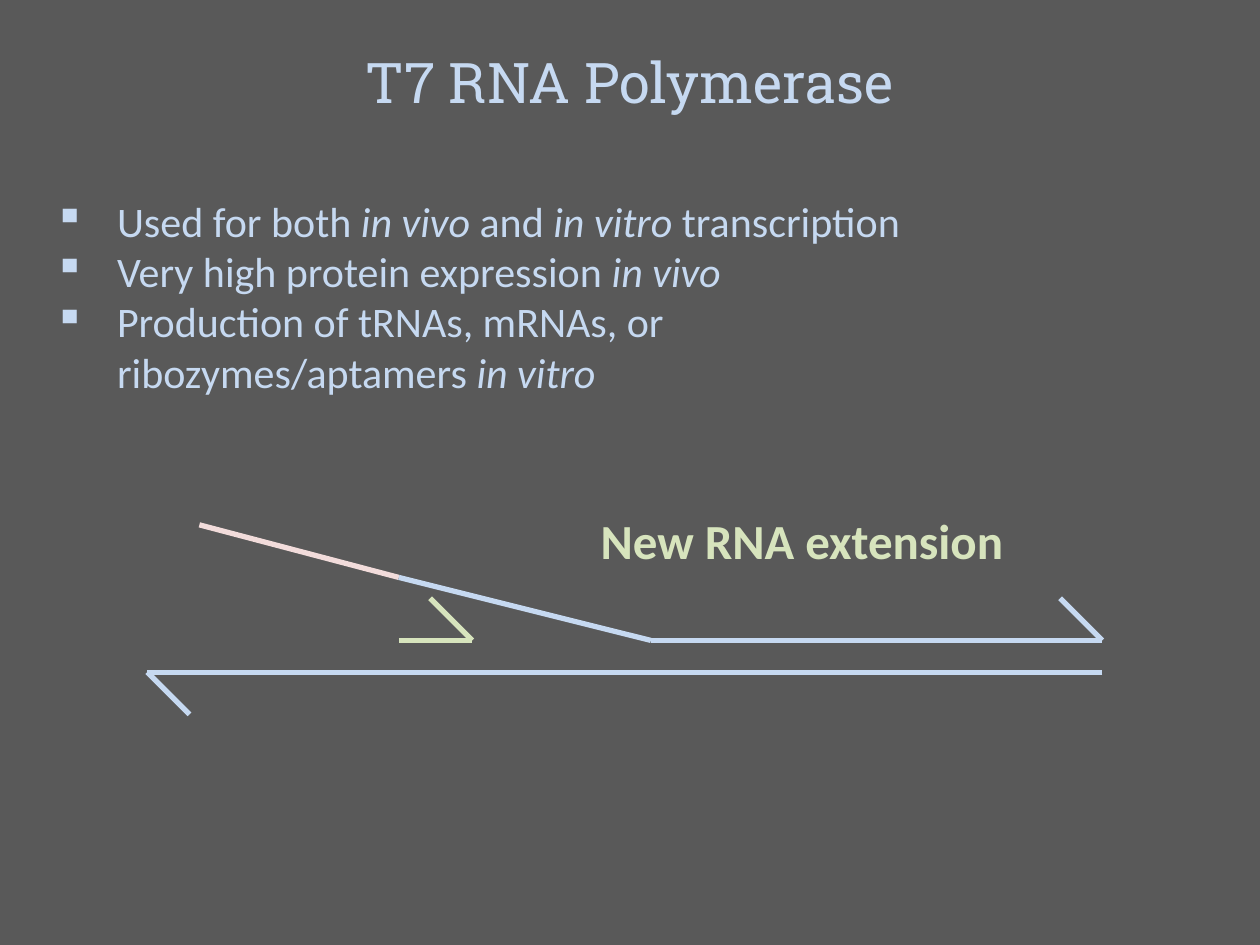
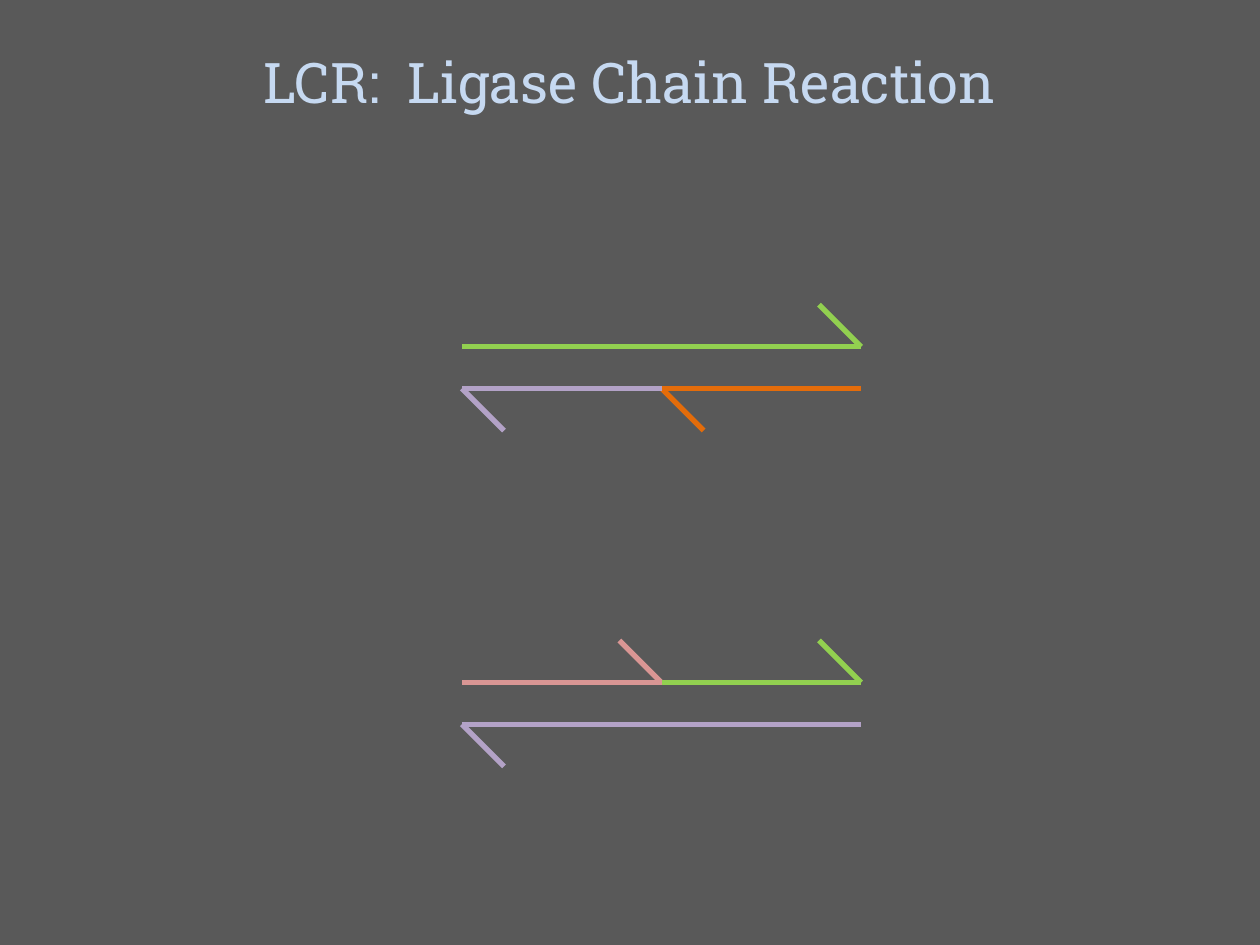
from dataclasses import dataclass

from lxml import etree
from pptx import Presentation
from pptx.dml.color import RGBColor
from pptx.enum.shapes import MSO_CONNECTOR
from pptx.enum.text import MSO_AUTO_SIZE, PP_ALIGN
from pptx.oxml.ns import qn
from pptx.util import Cm, Pt

STRAIGHT = MSO_CONNECTOR.STRAIGHT
FIT_SHAPE = MSO_AUTO_SIZE.SHAPE_TO_FIT_TEXT
LEFT = PP_ALIGN.LEFT
CENTER = PP_ALIGN.CENTER

SLIDE_WIDTH = 25.4
SLIDE_HEIGHT = 19.05


@dataclass(frozen=True)
class Theme:
    background: str = "595959"
    blue: str = "C6D9F1"
    pale_pink: str = "F2DCDB"
    pale_green: str = "D7E4BD"
    green: str = "92D050"
    purple: str = "B3A2C7"
    pink: str = "D99694"
    orange: str = "E46C0A"
    title_font: str = "Roboto Slab"
    body_font: str = "Calibri"
    title_size: int = 32
    body_size: int = 24
    label_size: int = 28
    line_width: int = 3
    barb: float = 0.85
    indent: float = 1.27


class Deck:
    def __init__(self, theme):
        self.theme = theme
        self.presentation = Presentation()
        self.presentation.slide_width = Cm(SLIDE_WIDTH)
        self.presentation.slide_height = Cm(SLIDE_HEIGHT)
        self.slide = None

    def add_slide(self, title):
        self.slide = self.presentation.slides.add_slide(self.presentation.slide_layouts[6])
        fill = self.slide.background.fill
        fill.solid()
        fill.fore_color.rgb = RGBColor.from_string(self.theme.background)
        frame = self.text_frame(0, 0.84, SLIDE_WIDTH, 1.62)
        paragraph = frame.paragraphs[0]
        paragraph.alignment = CENTER
        self.run(paragraph, title, self.theme.title_size, self.theme.blue, self.theme.title_font)

    def text_frame(self, left, top, width, height, wrap=True):
        shape = self.slide.shapes.add_textbox(Cm(left), Cm(top), Cm(width), Cm(height))
        frame = shape.text_frame
        frame.word_wrap = wrap
        frame.auto_size = FIT_SHAPE
        return frame

    def run(self, paragraph, text, size, color, font_name, bold=False, italic=False):
        run = paragraph.add_run()
        run.text = text
        font = run.font
        font.name = font_name
        font.size = Pt(size)
        font.bold = bold
        font.italic = italic
        font.color.rgb = RGBColor.from_string(color)

    def bullets(self, left, top, width, height, items):
        frame = self.text_frame(left, top, width, height)
        for index, item in enumerate(items):
            paragraph = frame.add_paragraph() if index else frame.paragraphs[0]
            paragraph.alignment = LEFT
            properties = paragraph._p.get_or_add_pPr()
            properties.set("marL", str(Cm(self.theme.indent)))
            properties.set("indent", str(-Cm(self.theme.indent)))
            etree.SubElement(properties, qn("a:buChar"), char="▪")
            for text, italic in item:
                self.run(paragraph, text, self.theme.body_size, self.theme.blue,
                         self.theme.body_font, italic=italic)

    def label(self, left, top, width, height, text, color):
        frame = self.text_frame(left, top, width, height, wrap=False)
        self.run(frame.paragraphs[0], text, self.theme.label_size, color,
                 self.theme.body_font, bold=True)

    def line(self, start_x, start_y, end_x, end_y, color):
        connector = self.slide.shapes.add_connector(
            STRAIGHT, Cm(start_x), Cm(start_y), Cm(end_x), Cm(end_y))
        connector.line.color.rgb = RGBColor.from_string(color)
        connector.line.width = Pt(self.theme.line_width)
        etree.SubElement(connector._element.spPr, qn("a:effectLst"))

    def strand(self, tail_x, tip_x, y, color):
        barb = self.theme.barb if tip_x < tail_x else -self.theme.barb
        self.line(tail_x, y, tip_x, y, color)
        self.line(tip_x, y, tip_x + barb, y + barb, color)


def build_polymerase(deck):
    theme = deck.theme
    deck.add_slide("T7 RNA Polymerase")
    deck.bullets(0.84, 3.81, 17.78, 4.37, [
        [("Used for both ", False), ("in vivo", True), (" and ", False),
         ("in vitro", True), (" transcription", False)],
        [("Very high protein expression ", False), ("in vivo", True)],
        [("Production of tRNAs, mRNAs, or ribozymes/aptamers ", False), ("in vitro", True)],
    ])
    deck.label(11.86, 10.16, 8.71, 1.45, "New RNA extension", theme.pale_green)

    template_y, coding_y = 13.55, 12.91
    left_end, right_end = 2.97, 22.22
    fork_x, primer_x, primer_y = 13.12, 8.04, 11.64
    deck.strand(right_end, left_end, template_y, theme.blue)
    deck.strand(fork_x, right_end, coding_y, theme.blue)
    deck.line(primer_x, primer_y, 4.02, 10.58, theme.pale_pink)
    deck.line(fork_x, coding_y, primer_x, primer_y, theme.blue)
    deck.strand(primer_x, 9.52, coding_y, theme.pale_green)


def build_ligase(deck):
    theme = deck.theme
    deck.add_slide("LCR:  Ligase Chain Reaction")
    left_end, right_end = 9.31, 17.36
    junction = (left_end + right_end) / 2
    first_y, second_y, gap = 6.99, 13.76, 0.84
    deck.strand(left_end, right_end, first_y, theme.green)
    deck.strand(right_end, junction, first_y + gap, theme.orange)
    deck.strand(junction, left_end, first_y + gap, theme.purple)
    deck.strand(left_end, junction, second_y, theme.pink)
    deck.strand(junction, right_end, second_y, theme.green)
    deck.strand(right_end, left_end, second_y + gap, theme.purple)


def main():
    deck = Deck(Theme())
    build_polymerase(deck)
    build_ligase(deck)
    deck.presentation.save("out.pptx")


if __name__ == "__main__":
    main()
